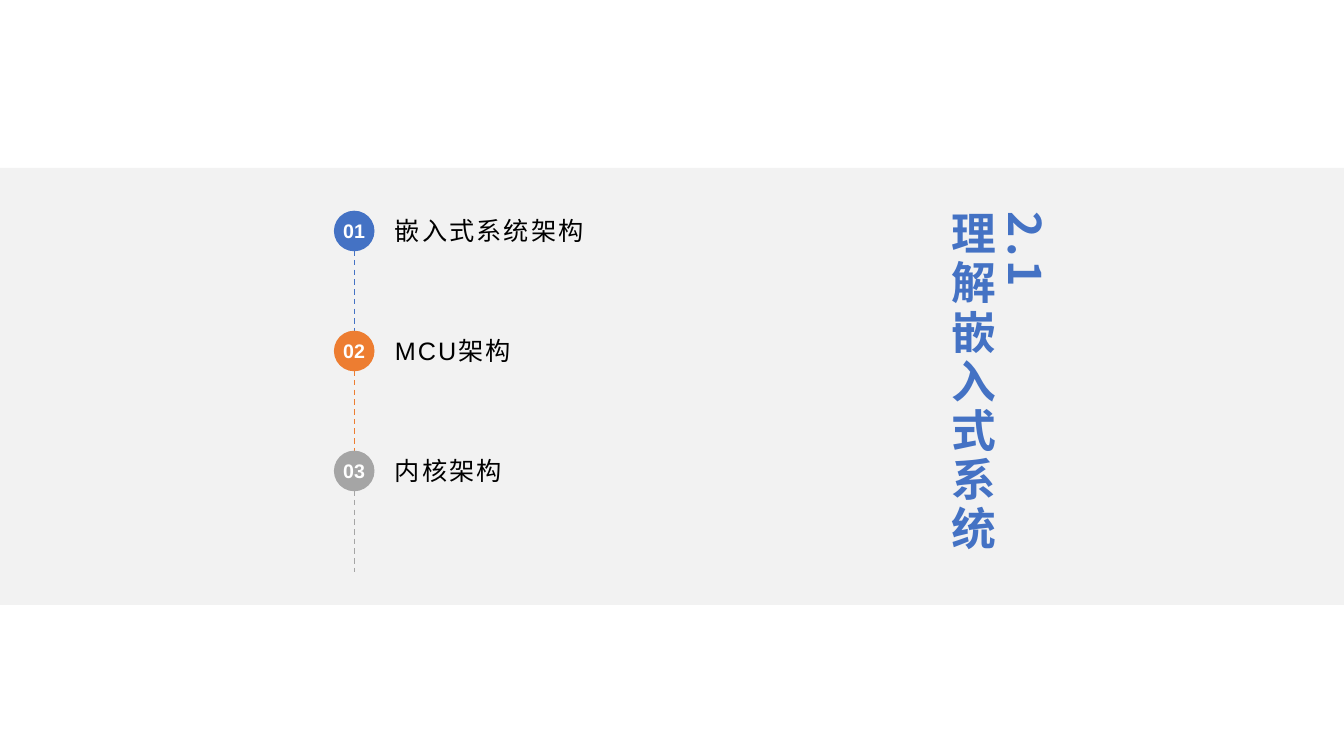
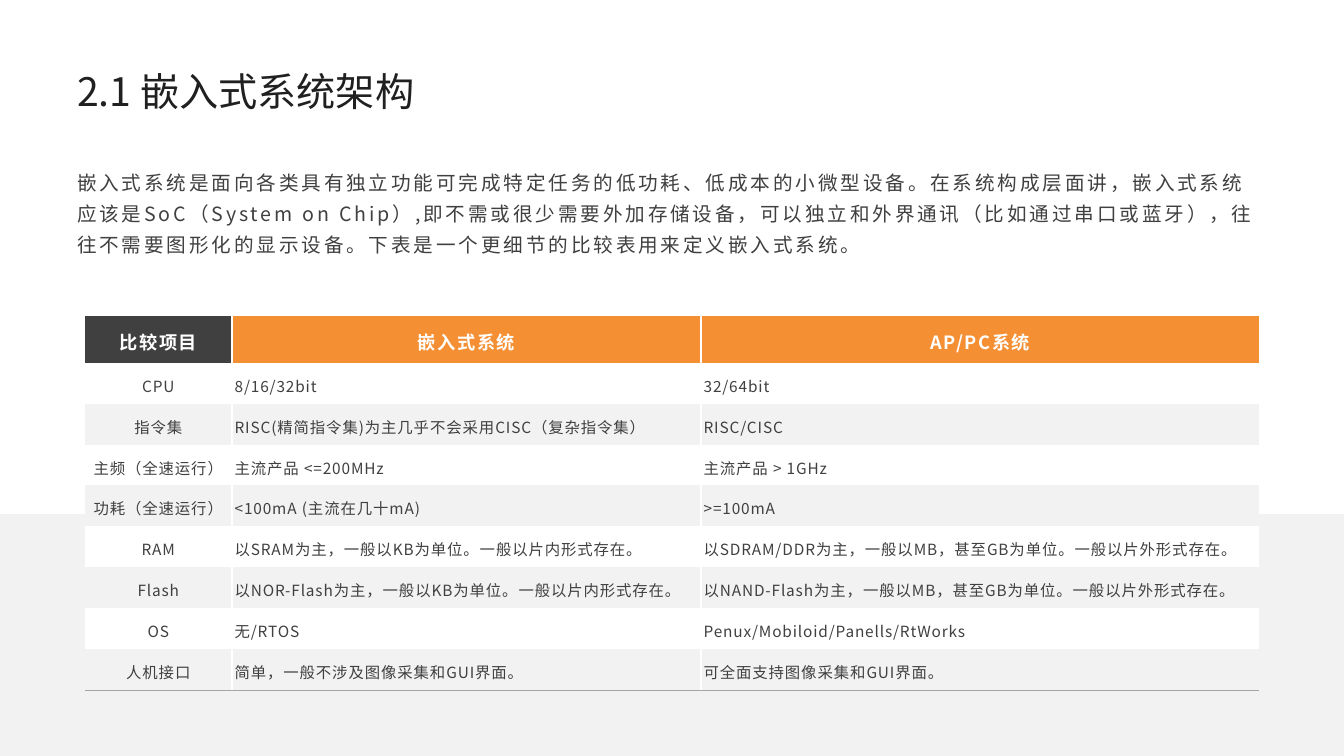
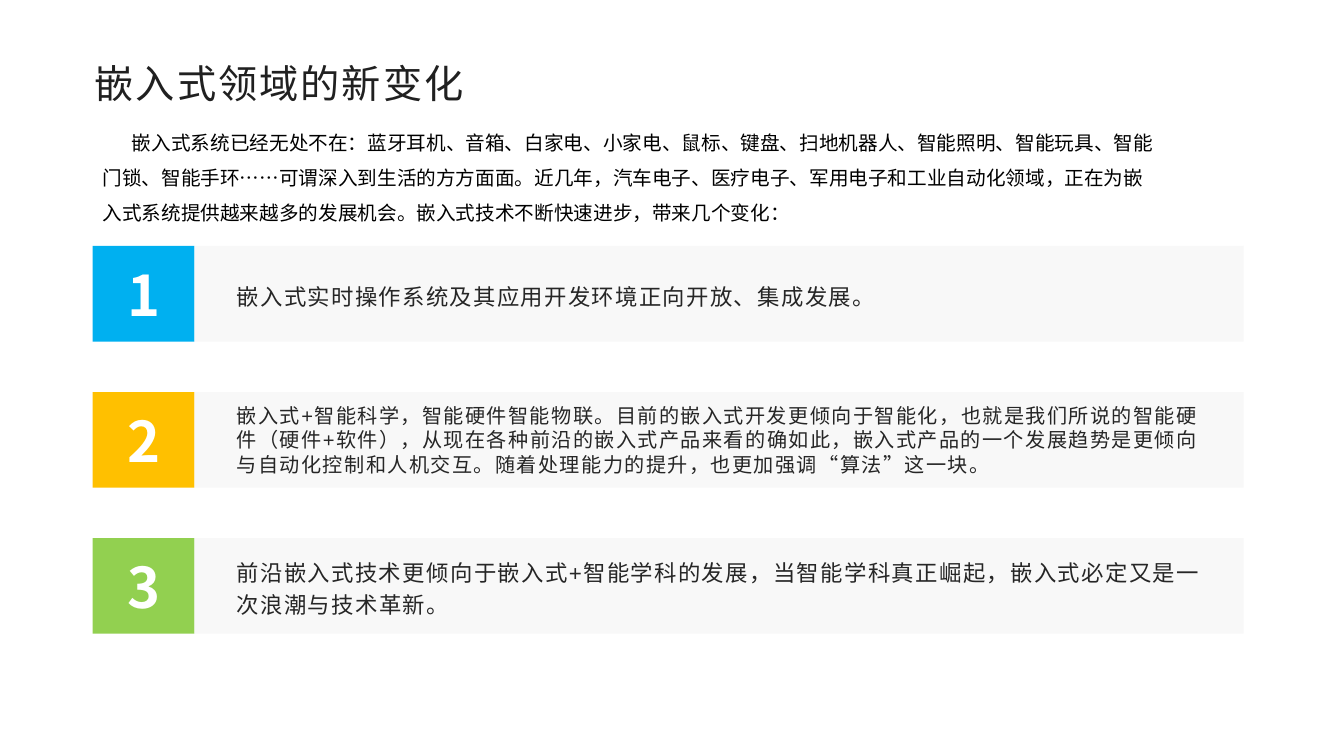
from dataclasses import dataclass

from lxml.etree import SubElement
from pptx import Presentation
from pptx.dml.color import RGBColor
from pptx.enum.dml import MSO_LINE
from pptx.enum.shapes import MSO_CONNECTOR, MSO_SHAPE
from pptx.enum.text import MSO_ANCHOR as Anchor, PP_ALIGN as Align
from pptx.oxml.ns import qn
from pptx.util import Pt


@dataclass(frozen=True)
class Theme:
    """Colours, fonts and type sizes of the deck."""

    sans: str = "Noto Sans CJK SC"
    latin: str = "Arial"
    white: str = "FFFFFF"
    black: str = "000000"
    band: str = "F2F2F2"
    title: str = "202020"
    body: str = "404040"
    panel_text: str = "262626"
    header: str = "F58F33"
    rule: str = "A6A6A6"
    section: str = "4472C4"
    agenda: tuple = ("4472C4", "ED7D31", "A5A5A5")
    changes: tuple = ("00B0F0", "FFC000", "92D050")
    section_size: float = 32
    title_size: float = 28
    numeral_size: float = 40
    item_size: float = 18
    panel_size: float = 16
    dense_size: float = 14.4
    body_size: float = 14
    header_size: float = 13
    cell_size: float = 11


T = Theme()
NO_STYLE = "{2D5ABB26-0587-4C30-8999-92F81FD0307C}"

AGENDA = ["嵌入式系统架构", "MCU架构", "内核架构"]
OVERVIEW = (
    "嵌入式系统是面向各类具有独立功能可完成特定任务的低功耗、低成本的小微型设备。"
    "在系统构成层面讲，嵌入式系统应该是SoC（System on Chip）,即不需或很少需要外加存储设备，"
    "可以独立和外界通讯（比如通过串口或蓝牙），往往不需要图形化的显示设备。"
    "下表是一个更细节的比较表用来定义嵌入式系统。"
)
COMPARISON = [
    ("比较项目", "嵌入式系统", "AP/PC系统"),
    ("CPU", "8/16/32bit", "32/64bit"),
    ("指令集", "RISC(精简指令集)为主几乎不会采用CISC（复杂指令集）", "RISC/CISC"),
    ("主频（全速运行）", "主流产品 <=200MHz", "主流产品 > 1GHz"),
    ("功耗（全速运行）", "<100mA (主流在几十mA)", ">=100mA"),
    ("RAM", "以SRAM为主，一般以KB为单位。一般以片内形式存在。",
     "以SDRAM/DDR为主，一般以MB，甚至GB为单位。一般以片外形式存在。"),
    ("Flash", "以NOR-Flash为主，一般以KB为单位。一般以片内形式存在。",
     "以NAND-Flash为主，一般以MB，甚至GB为单位。一般以片外形式存在。"),
    ("OS", "无/RTOS", "Penux/Mobiloid/Panells/RtWorks"),
    ("人机接口", "简单，一般不涉及图像采集和GUI界面。", "可全面支持图像采集和GUI界面。"),
]
TRENDS = (
    "嵌入式系统已经无处不在：蓝牙耳机、音箱、白家电、小家电、鼠标、键盘、扫地机器人、智能照明、"
    "智能玩具、智能门锁、智能手环……可谓深入到生活的方方面面。近几年，汽车电子、医疗电子、"
    "军用电子和工业自动化领域，正在为嵌入式系统提供越来越多的发展机会。"
    "嵌入式技术不断快速进步，带来几个变化："
)
CHANGES = [
    ("嵌入式实时操作系统及其应用开发环境正向开放、集成发展。", T.panel_size, 1.2),
    ("嵌入式+智能科学，智能硬件智能物联。目前的嵌入式开发更倾向于智能化，也就是我们所说的智能硬件"
     "（硬件+软件），从现在各种前沿的嵌入式产品来看的确如此，嵌入式产品的一个发展趋势是更倾向与"
     "自动化控制和人机交互。随着处理能力的提升，也更加强调“算法”这一块。", T.dense_size, 1.0),
    ("前沿嵌入式技术更倾向于嵌入式+智能学科的发展，当智能学科真正崛起，嵌入式必定又是一次浪潮与技术革新。",
     T.panel_size, 1.2),
]


def rgb(code):
    """Turn a hex code into a colour."""
    return RGBColor.from_string(code)


def write(frame, lines, size, color, face=T.sans, bold=False, spacing=0, leading=1.0,
          after=0, align=Align.LEFT, anchor=Anchor.TOP, indent=0):
    """Fill a text frame with equally styled paragraphs."""
    frame.word_wrap = True
    frame.vertical_anchor = anchor
    for index, line in enumerate(lines):
        paragraph = frame.add_paragraph() if index else frame.paragraphs[0]
        paragraph.text = line
        paragraph.alignment = align
        paragraph.line_spacing = leading
        paragraph.space_after = Pt(after)
        font = paragraph.font
        font.size, font.bold, font.name = Pt(size), bold, face
        font.color.rgb = rgb(color)
        properties = paragraph._p.get_or_add_pPr()
        properties.set("indent", str(Pt(indent)))
        defaults = properties.find(qn("a:defRPr"))
        defaults.set("spc", str(round(spacing * 100)))
        SubElement(defaults, qn("a:ea")).set("typeface", T.sans)


def add_text(slide, box, lines, size, color, **style):
    """Add a text box and return its frame."""
    frame = slide.shapes.add_textbox(*map(Pt, box)).text_frame
    write(frame, lines, size, color, **style)
    return frame


def add_block(slide, box, color, outline=MSO_SHAPE.RECTANGLE, opacity=100):
    """Add a flat filled shape without an outline."""
    block = slide.shapes.add_shape(outline, *map(Pt, box))
    block.shadow.inherit = False
    block.line.fill.background()
    block.fill.solid()
    block.fill.fore_color.rgb = rgb(color)
    if opacity < 100:
        tint = block._element.spPr.find(qn("a:solidFill"))[0]
        SubElement(tint, qn("a:alpha")).set("val", str(opacity * 1000))
    return block


def add_title(slide, box, title, **style):
    """Add the heading of a content slide."""
    add_text(slide, box, [title], T.title_size, T.title, **style)


def agenda_item(slide, box, number, topic, color):
    """Draw a numbered dot, its topic and the dashed line below."""
    left, top, width, height = box
    dot = 29
    axis, base = left + dot / 2 + 0.3, top + dot
    add_text(slide, (left + 36.5, top - 6.5, width - 36.5, height), [topic], T.item_size,
             T.black, face=T.latin, spacing=1.5, leading=1.3)
    badge = add_block(slide, (left, top, dot, dot), color, MSO_SHAPE.OVAL)
    write(badge.text_frame, [f"{number:02d}"], T.body_size, T.white, face=T.latin, bold=True,
          align=Align.CENTER, anchor=Anchor.MIDDLE)
    badge.text_frame.word_wrap = False
    thread = slide.shapes.add_connector(MSO_CONNECTOR.STRAIGHT, Pt(axis), Pt(base - 0.8),
                                        Pt(axis), Pt(base + 57.7))
    thread.line.color.rgb = rgb(color)
    thread.line.width = Pt(1)
    thread.line.dash_style = MSO_LINE.DASH
    SubElement(thread._element.spPr, qn("a:effectLst"))


def agenda_slide(slide):
    """Build the section opener with its agenda."""
    add_block(slide, (0, 120, 960, 312), T.band)
    heading = add_text(slide, (672, 144, 96.5, 264), ["2.1", "理解嵌入式系统"],
                       T.section_size, T.section, bold=True, spacing=3, anchor=Anchor.BOTTOM)
    heading._txBody.bodyPr.set("vert", "eaVert")
    for index, (topic, color) in enumerate(zip(AGENDA, T.agenda)):
        agenda_item(slide, (238.5, 150.5 + index * 85.7, 362.5, 80), index + 1, topic, color)


def set_border(cell, side, color, width):
    """Draw one border of a table cell."""
    properties = cell._tc.get_or_add_tcPr()
    border = SubElement(properties, qn(f"a:{side}"), w=str(Pt(width)))
    paint = SubElement(border, qn("a:solidFill"))
    SubElement(paint, qn("a:srgbClr"), val=color)


def comparison_table(slide, box, widths, header_height):
    """Build the comparison table inside its box."""
    row_total, column_total = len(COMPARISON), len(widths)
    table = slide.shapes.add_table(row_total, column_total, *map(Pt, box)).table
    table._tbl.tblPr.find(qn("a:tableStyleId")).text = NO_STYLE
    for column, width in zip(table.columns, widths):
        column.width = Pt(width)
    body_height = (box[3] - header_height) / (row_total - 1)
    for r, values in enumerate(COMPARISON):
        table.rows[r].height = Pt(body_height if r else header_height)
        for c, value in enumerate(values):
            cell = table.cell(r, c)
            cell.margin_left = cell.margin_right = cell.margin_top = cell.margin_bottom = Pt(2)
            cell.vertical_anchor = Anchor.MIDDLE
            if r == 0:
                fill = T.header if c else T.body
                style = dict(size=T.header_size, color=T.white, bold=True, spacing=1.2)
            else:
                fill = T.white if r % 2 else T.band
                style = dict(size=T.cell_size, color=T.body, spacing=0.6)
            centred = r == 0 or c == 0
            write(cell.text_frame, [value], leading=1.2, anchor=Anchor.MIDDLE,
                  align=Align.CENTER if centred else Align.LEFT, **style)
            if c:
                set_border(cell, "lnL", T.white, 1.5)
            if c < column_total - 1:
                set_border(cell, "lnR", T.white, 1.5)
            if r == row_total - 1:
                set_border(cell, "lnB", T.rule, 0.75)
            cell.fill.solid()
            cell.fill.fore_color.rgb = rgb(fill)


def comparison_slide(slide):
    """Build the slide that compares both kinds of system."""
    add_block(slide, (0, 367.2, 960, 172.8), T.band)
    add_title(slide, (48, 35.3, 864, 49.7), "2.1 嵌入式系统架构", anchor=Anchor.BOTTOM)
    add_text(slide, (48, 113.8, 864, 72.7), [OVERVIEW], T.body_size, T.body,
             spacing=2, leading=1.3, after=8)
    comparison_table(slide, (60.6, 225.4, 839, 267.8), (105, 335, 399), 33.6)


def change_row(slide, box, number, color, text, size, leading):
    """Draw a numbered square with its statement panel."""
    left, top, width, height = box
    square = 72.7
    tile = add_block(slide, (left, top, square, height), color)
    write(tile.text_frame, [str(number)], T.numeral_size, T.white, bold=True,
          align=Align.CENTER, anchor=Anchor.MIDDLE)
    panel = add_block(slide, (left + square, top, width - square, height), T.band, opacity=50)
    write(panel.text_frame, [text], size, T.panel_text, face=T.latin, spacing=1,
          leading=leading, anchor=Anchor.MIDDLE)
    panel.text_frame.margin_left, panel.text_frame.margin_right = Pt(30.2), Pt(19.4)


def changes_slide(slide):
    """Build the slide on changes in the field."""
    add_title(slide, (60.5, 27.4, 468.7, 54), "嵌入式领域的新变化", spacing=1.5,
              leading=1.3, after=10, anchor=Anchor.MIDDLE)
    add_text(slide, (66.2, 81.4, 768.2, 83.5), [TRENDS], T.body_size, T.black,
             leading=1.5, indent=21)
    for index, (change, color) in enumerate(zip(CHANGES, T.changes)):
        change_row(slide, (66.2, 175.7 + index * 104.3, 822.2, 68.4), index + 1, color, *change)


def main():
    """Build and save the deck."""
    deck = Presentation()
    deck.slide_width, deck.slide_height = Pt(960), Pt(540)
    for build in (agenda_slide, comparison_slide, changes_slide):
        build(deck.slides.add_slide(deck.slide_layouts[6]))
    deck.save("out.pptx")


if __name__ == "__main__":
    main()
